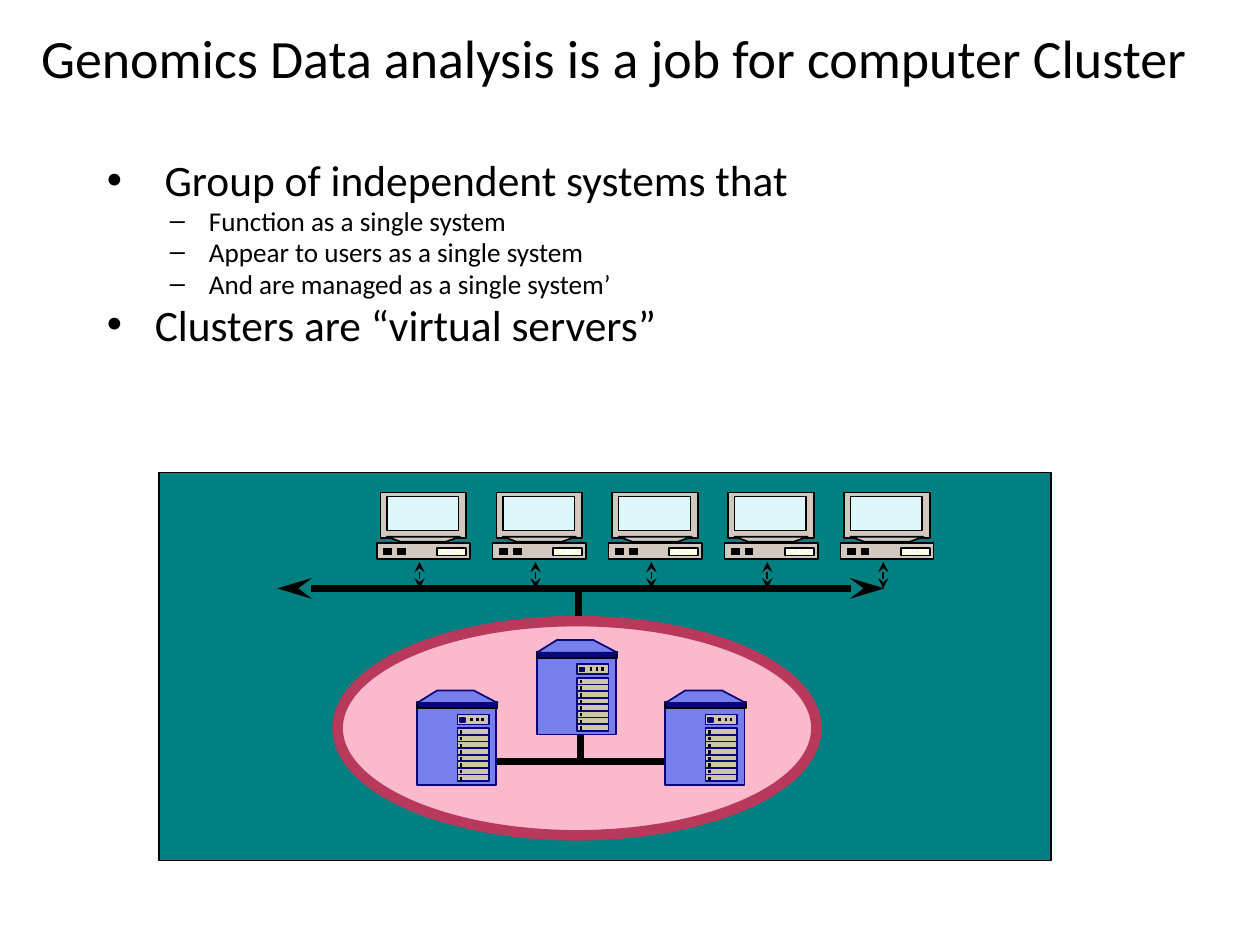
from pptx import Presentation
from pptx.dml.color import RGBColor
from pptx.enum.dml import MSO_PATTERN
from pptx.enum.shapes import MSO_CONNECTOR, MSO_SHAPE
from pptx.enum.text import MSO_ANCHOR, PP_ALIGN
from pptx.oxml.ns import qn
from pptx.util import Inches, Pt
from lxml.etree import SubElement

BLACK = RGBColor(0x00, 0x00, 0x00)
WHITE = RGBColor(0xFF, 0xFF, 0xFF)
YELLOW = RGBColor(0xFF, 0xFF, 0x00)
TEAL = RGBColor(0x00, 0x80, 0x80)
PINK = RGBColor(0xFA, 0xB9, 0xCD)
CRIMSON = RGBColor(0xB9, 0x39, 0x5C)
PERIWINKLE = RGBColor(0x77, 0x7F, 0xEE)
NAVY = RGBColor(0x09, 0x07, 0x78)
KHAKI = RGBColor(0xCE, 0xC7, 0xA6)
CASE_GREY = RGBColor(0xD3, 0xC8, 0xC0)
SCREEN_BLUE = RGBColor(0xDD, 0xF7, 0xFB)

prs = Presentation()
prs.slide_width, prs.slide_height = Inches(10), Inches(7.5)
slide = prs.slides.add_slide(prs.slide_layouts[5])
diagram = slide.shapes.add_group_shape().shapes


def add_box(left, top, width, height, fill, outline=BLACK, weight=1,
            kind=MSO_SHAPE.RECTANGLE):
    box = diagram.add_shape(kind, Inches(left), Inches(top),
                            Inches(width), Inches(height))
    box.shadow.inherit = False
    box.fill.solid()
    box.fill.fore_color.rgb = fill
    box.line.color.rgb = outline
    box.line.width = Pt(weight)
    return box


def add_line(x1, y1, x2, y2, weight, color=BLACK, head_length=None):
    """Draw a line; a head_length puts a stealth arrowhead at both ends."""
    link = diagram.add_connector(MSO_CONNECTOR.STRAIGHT, Inches(x1), Inches(y1),
                                 Inches(x2), Inches(y2))
    link.line.color.rgb = color
    link.line.width = Pt(weight)
    properties = link._element.spPr
    if head_length:
        for end in ("a:headEnd", "a:tailEnd"):
            SubElement(properties.find(qn("a:ln")), qn(end),
                       type="stealth", w="med", len=head_length)
    SubElement(properties, qn("a:effectLst"))


# Title
title = slide.shapes.title
title.left, title.top = Inches(0), Inches(0)
title.width, title.height = Inches(9.75), Inches(1)
title.text_frame.text = "Genomics Data analysis is a job for computer Cluster"
title.text_frame.vertical_anchor = MSO_ANCHOR.MIDDLE
heading = title.text_frame.paragraphs[0]
heading.alignment = PP_ALIGN.CENTER
heading.line_spacing = 0.8
heading.font.size = Pt(30.8)
heading.font.name = "Calibri"
heading.font.color.rgb = BLACK

# Bulleted definition
definition = slide.shapes.add_textbox(Inches(0.75), Inches(1.25),
                                      Inches(8.11), Inches(1.74)).text_frame
definition.word_wrap = True
points = [
    (0, " Group of independent systems that"),
    (1, "Function as a single system"),
    (1, "Appear to users as a single system"),
    (1, "And are managed as a single system’"),
    (0, "Clusters are “virtual servers”"),
]
level_styles = [("•", 24.8, 5, 0.38, -0.38), ("–", 15.5, 3, 0.81, -0.31)]
for number, (level, text) in enumerate(points):
    bullet, size, space, margin, indent = level_styles[level]
    point = definition.add_paragraph() if number else definition.paragraphs[0]
    point.text = text
    point.level = level
    point.line_spacing = 0.8
    point.space_before = Pt(space)
    point.font.size = Pt(size)
    point.font.name = "Calibri"
    point.font.color.rgb = BLACK
    properties = point._p.get_or_add_pPr()
    properties.set("marL", str(Inches(margin)))
    properties.set("indent", str(Inches(indent)))
    SubElement(properties, qn("a:buFont"), typeface="Arial")
    SubElement(properties, qn("a:buChar"), char=bullet)

# Network: backdrop, cluster and cabling
add_box(1.26, 3.75, 7.08, 3.08, TEAL)
add_line(4.59, 4.68, 4.59, 5.06, 4)
add_box(2.68, 4.93, 3.8, 1.7, PINK, CRIMSON, 6, MSO_SHAPE.OVAL)
add_line(5.34, 6.04, 3.59, 6.04, 4)
add_line(2.2, 4.67, 7.02, 4.67, 4, head_length="lg")
add_line(4.61, 5.62, 4.61, 6.04, 4)

outlines = []  # (corner points, fill, line colour)

# Servers
RACK_UNITS = 8
RACK_HEIGHT = 0.42
for x, y in [(3.31, 5.48), (5.28, 5.48), (4.26, 5.08)]:
    add_box(x, y + 0.14, 0.63, 0.61, PERIWINKLE, NAVY)
    add_box(x + 0.32, y + 0.3, 0.25, RACK_HEIGHT, KHAKI, NAVY)
    add_box(x + 0.32, y + 0.19, 0.25, 0.08, KHAKI, NAVY)
    add_box(x, y + 0.09, 0.64, 0.05, NAVY)
    add_box(x + 0.34, y + 0.22, 0.04, 0.03, NAVY, NAVY)
    for unit in range(RACK_UNITS):
        unit_top = y + 0.3 + unit * RACK_HEIGHT / RACK_UNITS
        if unit:
            add_line(x + 0.32, unit_top, x + 0.57, unit_top, 1, NAVY)
        add_line(x + 0.34, unit_top + 0.03, x + 0.36, unit_top + 0.03, 2)
    for light in (0.42, 0.47, 0.51):
        add_line(x + light, y + 0.23, x + light + 0.02, y + 0.23, 2)
    roof = [(x + 0.64, y + 0.1), (x + 0.45, y), (x + 0.16, y), (x, y + 0.1)]
    outlines.append((roof, PERIWINKLE, NAVY))

# Workstations
for station in range(5):
    x, y = 2.99 + station * 0.92, 3.91
    add_line(x + 0.34, y + 0.55, x + 0.34, y + 0.76, 1, head_length="med")
    add_box(x + 0.03, y, 0.68, 0.36, CASE_GREY)
    add_box(x + 0.08, y + 0.03, 0.57, 0.27, SCREEN_BLUE)
    add_box(x, y + 0.4, 0.74, 0.13, CASE_GREY)
    drive = add_box(x + 0.48, y + 0.44, 0.23, 0.06, WHITE)
    drive.fill.patterned()
    drive.fill.pattern = MSO_PATTERN.PERCENT_25
    drive.fill.fore_color.rgb = YELLOW
    drive.fill.back_color.rgb = WHITE
    for button in (0.05, 0.16):
        add_line(x + button, y + 0.47, x + button + 0.07, y + 0.47, 4)
    stand = [(x + 0.08, y + 0.35), (x + 0.66, y + 0.35),
             (x + 0.55, y + 0.39), (x + 0.19, y + 0.39)]
    outlines.append((stand, CASE_GREY, BLACK))

# Server roofs and monitor stands
for corners, fill, outline in outlines:
    start, *rest = [(Inches(px), Inches(py)) for px, py in corners]
    builder = diagram.build_freeform(*start)
    builder.add_line_segments(rest, close=True)
    part = builder.convert_to_shape()
    part.shadow.inherit = False
    part.fill.solid()
    part.fill.fore_color.rgb = fill
    part.line.color.rgb = outline
    part.line.width = Pt(1)

prs.save("out.pptx")
